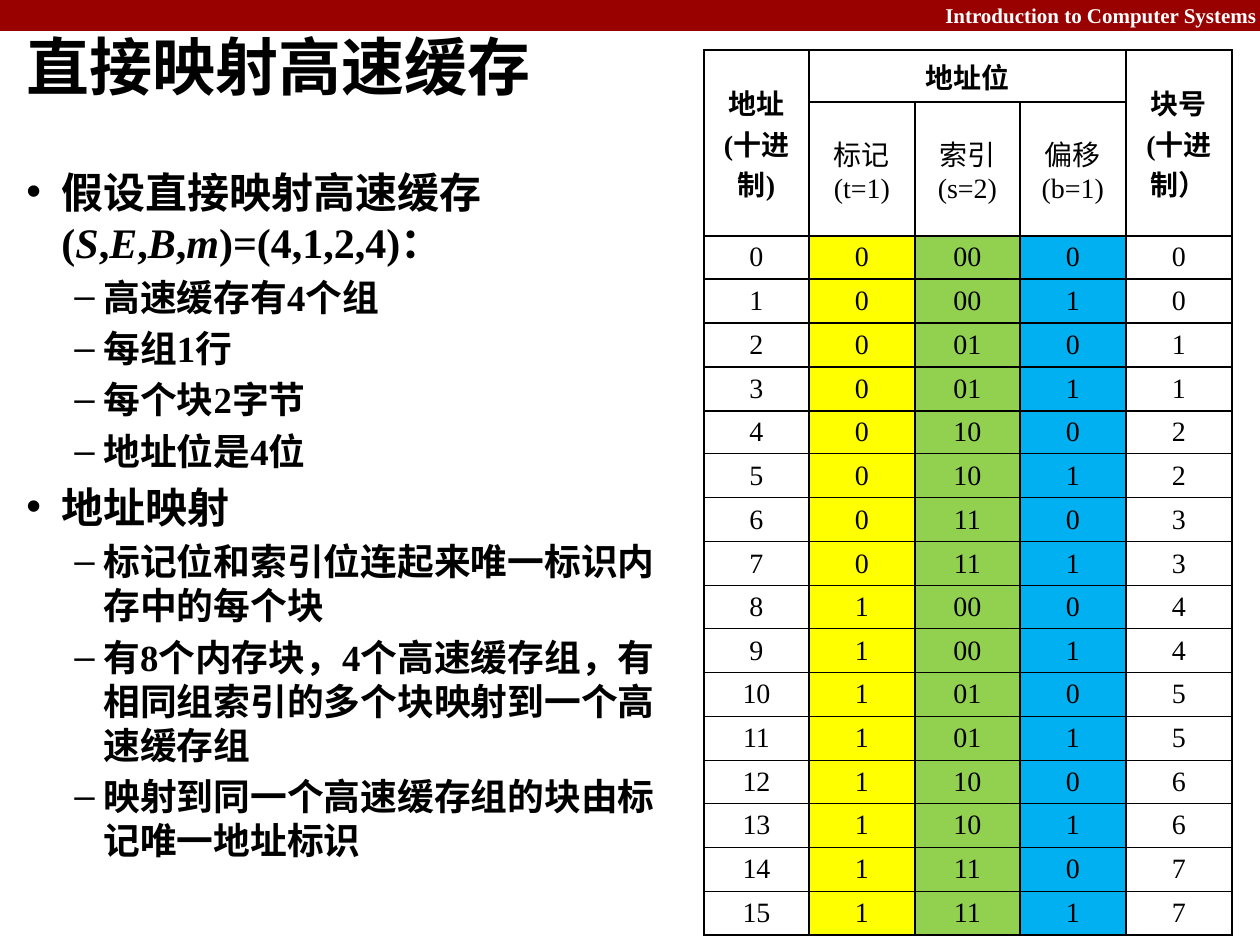
from dataclasses import dataclass

from lxml.etree import SubElement
from pptx import Presentation
from pptx.dml.color import RGBColor
from pptx.enum.lang import MSO_LANGUAGE_ID as Language
from pptx.enum.shapes import MSO_SHAPE as Shape
from pptx.enum.text import MSO_ANCHOR as Anchor, PP_ALIGN as Align
from pptx.oxml.ns import qn
from pptx.util import Emu, Pt

PX = 914400 // 126
SLIDE_W, SLIDE_H = 1260, 945
BLACK = RGBColor(0x00, 0x00, 0x00)
WHITE = RGBColor(0xFF, 0xFF, 0xFF)
BANNER_RED = RGBColor(0x99, 0x00, 0x00)
TAG_YELLOW = RGBColor(0xFF, 0xFF, 0x00)
INDEX_GREEN = RGBColor(0x92, 0xD0, 0x50)
OFFSET_BLUE = RGBColor(0x00, 0xB0, 0xF0)
COLUMN_FILLS = (WHITE, TAG_YELLOW, INDEX_GREEN, OFFSET_BLUE, WHITE)
SERIF, SANS = "Times New Roman", "Calibri"
ADDRESSES = 16


@dataclass(frozen=True)
class Box:
    left: int
    top: int
    width: int
    height: int

    def emu(self) -> list[Emu]:
        return [px(n) for n in (self.left, self.top, self.width, self.height)]


@dataclass(frozen=True)
class Level:
    mark: str
    size: int
    margin: int
    hanging: int


@dataclass(frozen=True)
class Point:
    level: Level
    text: str


@dataclass(frozen=True)
class Header:
    row: int
    col: int
    last_row: int
    last_col: int
    lines: tuple[str, ...]
    bold: bool


TOPIC = Level("•", 24, 35, 35)
DETAIL = Level("–", 21, 77, 29)

# Text between bars is italic.
POINTS = (
    Point(TOPIC, "假设直接映射高速缓存(|S|,|E|,|B|,|m|)=(4,1,2,4)："),
    Point(DETAIL, "高速缓存有4个组"),
    Point(DETAIL, "每组1行"),
    Point(DETAIL, "每个块2字节"),
    Point(DETAIL, "地址位是4位"),
    Point(TOPIC, "地址映射"),
    Point(DETAIL, "标记位和索引位连起来唯一标识内存中的每个块"),
    Point(DETAIL, "有8个内存块，4个高速缓存组，有相同组索引的多个块映射到一个高速缓存组"),
    Point(DETAIL, "映射到同一个高速缓存组的块由标记唯一地址标识"),
)

HEADERS = (
    Header(0, 0, 1, 0, ("地址", "(十进制)"), True),
    Header(0, 1, 0, 3, ("地址位",), True),
    Header(0, 4, 1, 4, ("块号", "(十进制）"), True),
    Header(1, 1, 1, 1, ("标记 (t=1)",), False),
    Header(1, 2, 1, 2, ("索引", "(s=2)"), False),
    Header(1, 3, 1, 3, ("偏移", "(b=1)"), False),
)


def px(count: int) -> Emu:
    return Emu(count * PX)


def split_evenly(total: int, parts: int) -> list[int]:
    """Whole-pixel sizes whose sum is exactly the total."""
    edges = [total * i // parts for i in range(parts + 1)]
    return [end - start for start, end in zip(edges, edges[1:])]


def add_run(paragraph, text: str, size: int, color: RGBColor = BLACK,
            name: str = SERIF, bold: bool = True, italic: bool = False) -> None:
    run = paragraph.add_run()
    run.text = text
    formats = {"size": Pt(size), "name": name, "bold": bold, "italic": italic,
               "language_id": Language.SIMPLIFIED_CHINESE}
    for attribute, value in formats.items():
        setattr(run.font, attribute, value)
    run.font.color.rgb = color


def add_frame(slide, box: Box, anchor: Anchor = Anchor.TOP):
    frame = slide.shapes.add_textbox(*box.emu()).text_frame
    frame.word_wrap = True
    frame.vertical_anchor = anchor
    return frame


def add_banner(slide) -> None:
    banner = slide.shapes.add_shape(Shape.RECTANGLE, *Box(0, 0, SLIDE_W, 31).emu())
    banner.shadow.inherit = False
    banner.fill.solid()
    banner.fill.fore_color.rgb = BANNER_RED
    banner.line.fill.background()
    course = add_frame(slide, Box(756, -4, 513, 38)).paragraphs[0]
    course.alignment = Align.RIGHT
    add_run(course, "Introduction to Computer Systems", 12, WHITE)


def add_points(slide, box: Box) -> None:
    frame = add_frame(slide, box)
    for number, point in enumerate(POINTS):
        level = point.level
        paragraph = frame.add_paragraph() if number else frame.paragraphs[0]
        properties = paragraph._p.get_or_add_pPr()
        properties.set("marL", str(px(level.margin)))
        properties.set("indent", str(-px(level.hanging)))
        SubElement(properties, qn("a:buFont"), typeface="Arial")
        SubElement(properties, qn("a:buChar"), char=level.mark)
        paragraph.level = 0 if level is TOPIC else 1
        paragraph.line_spacing = Pt(level.size * 1.2)
        if number:
            paragraph.space_before = Pt(level.size * 0.2)
        for part, text in enumerate(point.text.split("|")):
            add_run(paragraph, text, level.size, italic=part % 2 == 1)


def add_borders(cell) -> None:
    properties = cell._tc.get_or_add_tcPr()
    for position, side in enumerate(("lnL", "lnR", "lnT", "lnB")):
        border = properties.makeelement(qn(f"a:{side}"), {"w": str(Pt(1))})
        properties.insert(position, border)
        color = SubElement(SubElement(border, qn("a:solidFill")), qn("a:srgbClr"))
        color.set("val", str(BLACK))


def write_cell(cell, lines: tuple[str, ...], bold: bool) -> None:
    for number, line in enumerate(lines):
        frame = cell.text_frame
        paragraph = frame.add_paragraph() if number else frame.paragraphs[0]
        paragraph.alignment = Align.CENTER
        add_run(paragraph, line, 16, bold=bold)


def add_address_table(slide, box: Box) -> None:
    heights = [52, 134]
    heights += split_evenly(box.height - sum(heights), ADDRESSES)
    widths = split_evenly(box.width, len(COLUMN_FILLS))
    table = slide.shapes.add_table(len(heights), len(widths), *box.emu()).table
    table.first_row = table.horz_banding = False
    for row, height in zip(table.rows, heights):
        row.height = px(height)
    for column, width in zip(table.columns, widths):
        column.width = px(width)

    for row in range(len(heights)):
        for col, color in enumerate(COLUMN_FILLS):
            cell = table.cell(row, col)
            cell.vertical_anchor = Anchor.MIDDLE
            cell.margin_top = cell.margin_bottom = px(4)
            cell.fill.solid()
            cell.fill.fore_color.rgb = color if row > 1 else WHITE
            add_borders(cell)

    for header in HEADERS:
        cell = table.cell(header.row, header.col)
        last = table.cell(header.last_row, header.last_col)
        if (header.row, header.col) != (header.last_row, header.last_col):
            cell.merge(last)
        write_cell(cell, header.lines, header.bold)

    for address in range(ADDRESSES):
        block = address >> 1
        tag, index, offset = address >> 3, block & 3, address & 1
        values = (f"{address}", f"{tag}", f"{index:02b}", f"{offset}", f"{block}")
        for col, value in enumerate(values):
            write_cell(table.cell(address + 2, col), (value,), False)


def main() -> None:
    deck = Presentation()
    deck.slide_width, deck.slide_height = px(SLIDE_W), px(SLIDE_H)
    slide = deck.slides.add_slide(deck.slide_layouts[6])
    add_banner(slide)
    title = add_frame(slide, Box(14, 13, 1046, 104), Anchor.MIDDLE)
    add_run(title.paragraphs[0], "直接映射高速缓存", 36, name=SANS)
    add_address_table(slide, Box(704, 50, 528, 886))
    add_points(slide, Box(14, 160, 677, 771))
    deck.save("out.pptx")


if __name__ == "__main__":
    main()
